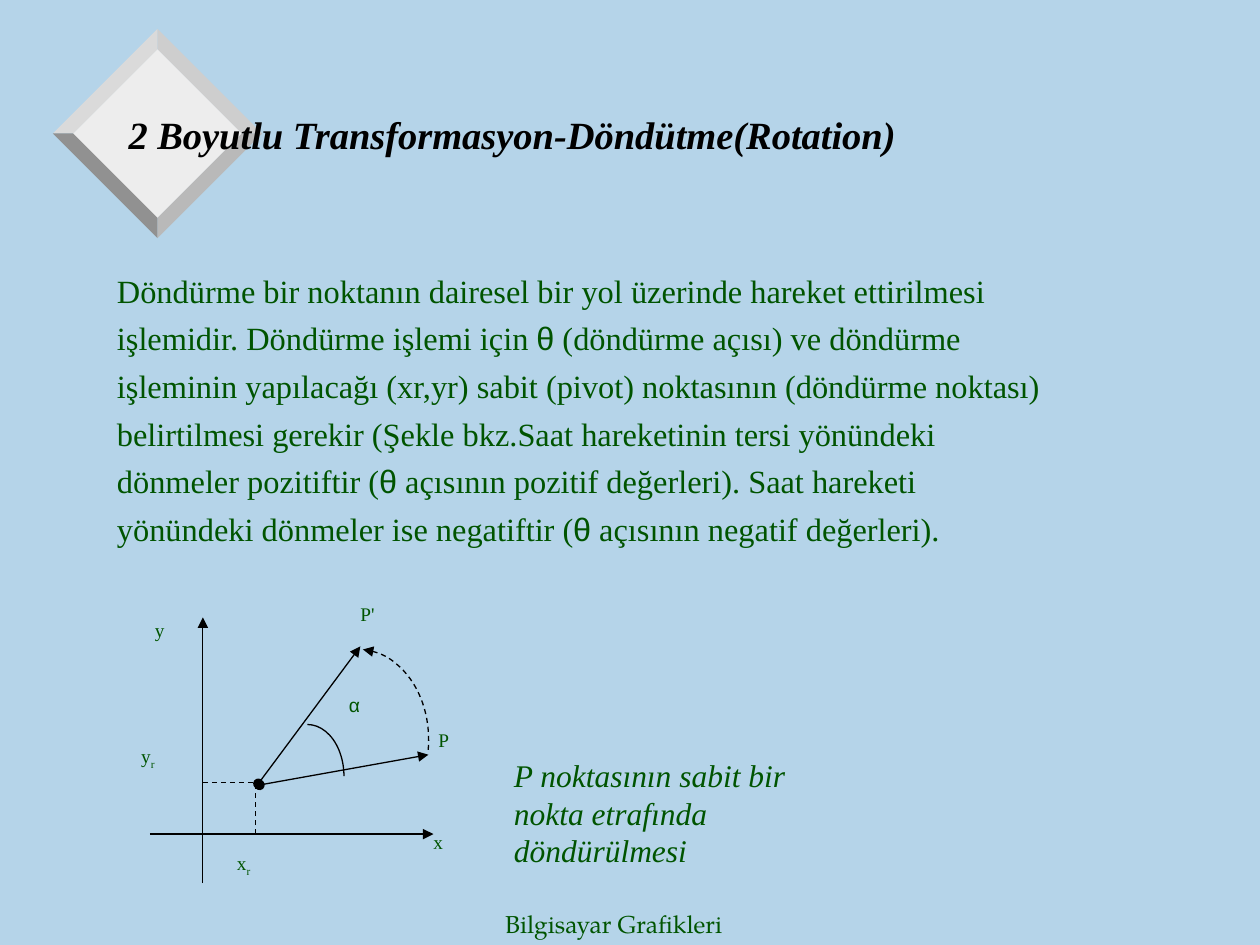
from dataclasses import dataclass

from lxml import etree
from pptx import Presentation
from pptx.dml.color import RGBColor
from pptx.enum.dml import MSO_LINE
from pptx.enum.shapes import MSO_CONNECTOR, MSO_SHAPE
from pptx.enum.text import MSO_ANCHOR, MSO_AUTO_SIZE, PP_ALIGN
from pptx.oxml.ns import qn
from pptx.util import Pt

PX = 9144  # one hundredth of an inch
DASH = MSO_LINE.DASH
STRAIGHT = MSO_CONNECTOR.STRAIGHT
ARC = MSO_SHAPE.ARC
MIDDLE = MSO_ANCHOR.MIDDLE
LEFT = PP_ALIGN.LEFT
NO_FIT = MSO_AUTO_SIZE.NONE
TITLE_ONLY = 5


@dataclass(frozen=True)
class Theme:
    background: str = "B5D4E9"
    text: str = "005400"
    ink: str = "000000"
    serif: str = "Times New Roman"
    greek: str = "Arial"
    footer_font: str = "TeX Gyre Pagella"
    title_size: float = 22
    body_size: float = 18.5
    caption_size: float = 18
    footer_size: float = 14
    label_size: float = 11
    line_width: float = 0.75


THEME = Theme()


@dataclass(frozen=True)
class Box:
    left: int
    top: int
    width: int
    height: int

    def emu(self) -> list[int]:
        return [side * PX for side in (self.left, self.top, self.width, self.height)]


@dataclass(frozen=True)
class Style:
    size: float
    font: str = THEME.serif
    color: str = THEME.text
    bold: bool = False
    italic: bool = False


@dataclass(frozen=True)
class Label:
    box: Box
    text: str
    subscript: str = ""
    font: str = THEME.serif


@dataclass(frozen=True)
class Line:
    start: tuple[int, int]
    end: tuple[int, int]
    head: str = ""
    tail: str = ""
    dashed: bool = False


@dataclass(frozen=True)
class Arc:
    box: Box
    rotation: float = 0
    head: str = ""
    dashed: bool = False


TITLE = "2 Boyutlu Transformasyon-Döndütme(Rotation)"
BODY = [
    "Döndürme bir noktanın dairesel bir yol üzerinde hareket ettirilmesi",
    "işlemidir. Döndürme işlemi için θ (döndürme açısı) ve döndürme",
    "işleminin yapılacağı (xr,yr) sabit (pivot) noktasının (döndürme noktası)",
    "belirtilmesi gerekir (Şekle bkz.Saat hareketinin tersi yönündeki",
    "dönmeler pozitiftir (θ açısının pozitif değerleri). Saat hareketi",
    "yönündeki dönmeler ise negatiftir (θ açısının negatif değerleri).",
]
CAPTION = "P noktasının sabit bir nokta etrafında döndürülmesi"
FOOTER = "Bilgisayar Grafikleri"

LABELS = [
    Label(Box(346, 577, 36, 54), "P"),
    Label(Box(284, 477, 42, 54), "P'"),
    Label(Box(342, 658, 71, 54), "x"),
    Label(Box(121, 490, 147, 54), "y"),
    Label(Box(275, 549, 36, 54), "α", font=THEME.greek),
    Label(Box(186, 675, 71, 54), "x", "r"),
    Label(Box(110, 590, 71, 54), "y", "r"),
]
LINES = [
    Line((119, 662), (344, 662), tail="triangle"),
    Line((161, 701), (161, 490), tail="triangle"),
    Line((206, 623), (340, 599), "oval", "triangle"),
    Line((205, 622), (286, 513), "oval", "triangle"),
    Line((203, 662), (203, 621), dashed=True),
    Line((161, 621), (203, 621), dashed=True),
]
ARCS = [
    Arc(Box(215, 575, 58, 82)),
    Arc(Box(219, 515, 121, 152), 6.5, "triangle", True),
]

DIAMOND_CENTER = (125, 106)
OUTER, INNER = 83, 67
DIAMOND_FACE = "EDEDED"
BEVELS = {(1, -1): "CECECE", (-1, -1): "DADADA", (1, 1): "B9B9B9", (-1, 1): "919191"}


def style_paragraph(para, style: Style) -> None:
    para.alignment = LEFT
    font = para.font
    font.name, font.size = style.font, Pt(style.size)
    font.bold, font.italic = style.bold, style.italic
    font.color.rgb = RGBColor.from_string(style.color)


def add_text(page, box: Box, lines: list[str], style: Style, gap: float = 0,
             margins: tuple[int, int] = (10, 5), wrap: bool = True):
    """Add a text box with one paragraph a line, every θ set in the Greek font."""
    shape = page.shapes.add_textbox(*box.emu())
    frame = shape.text_frame
    frame.word_wrap = wrap
    frame.margin_left = frame.margin_right = margins[0] * PX
    frame.margin_top = frame.margin_bottom = margins[1] * PX
    for index, line in enumerate(lines):
        para = frame.add_paragraph() if index else frame.paragraphs[0]
        style_paragraph(para, style)
        if index:
            para.space_before = Pt(gap)
        before, theta, after = line.partition("θ")
        for text in filter(None, (before, theta, after)):
            span = para.add_run()
            span.text = text
            if text == theta:
                span.font.name = THEME.greek
    return frame


def add_label(page, label: Label) -> None:
    frame = add_text(page, label.box, [label.text],
                     Style(THEME.label_size, label.font), margins=(2, 1))
    if label.subscript:
        span = frame.paragraphs[0].add_run()
        span.text = label.subscript
        span.font._element.set("baseline", "-25000")


def style_line(shape, head: str, tail: str, dashed: bool) -> None:
    line = shape.line
    line.color.rgb = RGBColor.from_string(THEME.ink)
    line.width = Pt(THEME.line_width)
    if dashed:
        line.dash_style = DASH
    outline = shape._element.spPr.find(qn("a:ln"))
    for tag, kind in (("a:headEnd", head), ("a:tailEnd", tail)):
        if kind:
            etree.SubElement(outline, qn(tag), type=kind)


def add_line(page, line: Line) -> None:
    ends = [value * PX for value in line.start + line.end]
    connector = page.shapes.add_connector(STRAIGHT, *ends)
    style_line(connector, line.head, line.tail, line.dashed)
    etree.SubElement(connector._element.spPr, qn("a:effectLst"))


def add_arc(page, arc: Arc) -> None:
    shape = page.shapes.add_shape(ARC, *arc.box.emu())
    shape.rotation = arc.rotation
    shape.fill.background()
    style_line(shape, arc.head, "", arc.dashed)
    shape.shadow.inherit = False


def add_facet(page, offsets: list[tuple[int, int]], color: str) -> None:
    """Fill the polygon whose corners are offset from the diamond's centre."""
    center_x, center_y = DIAMOND_CENTER
    points = [(center_x + x, center_y + y) for x, y in offsets]
    builder = page.shapes.build_freeform(*points[0], scale=PX)
    builder.add_line_segments(points[1:], close=True)
    shape = builder.convert_to_shape()
    shape.fill.solid()
    shape.fill.fore_color.rgb = RGBColor.from_string(color)
    shape.line.fill.background()
    shape.shadow.inherit = False


def add_diamond(page) -> None:
    add_facet(page, [(0, -INNER), (-INNER, 0), (0, INNER), (INNER, 0)], DIAMOND_FACE)
    for (x, y), color in BEVELS.items():
        add_facet(page, [(0, y * INNER), (0, y * OUTER), (x * OUTER, 0), (x * INNER, 0)], color)


def set_title(page, box: Box) -> None:
    title = page.shapes.title
    title.left, title.top, title.width, title.height = box.emu()
    frame = title.text_frame
    frame.text = TITLE
    frame.word_wrap, frame.auto_size = True, NO_FIT
    frame.vertical_anchor = MIDDLE
    style_paragraph(frame.paragraphs[0], Style(THEME.title_size, color=THEME.ink, bold=True, italic=True))
    # Keep the title in front of the diamond.
    page.shapes._spTree.append(title._element)


def main() -> None:
    deck = Presentation()
    deck.slide_width, deck.slide_height = 1000 * PX, 750 * PX
    page = deck.slides.add_slide(deck.slide_layouts[TITLE_ONLY])
    page.background.fill.solid()
    page.background.fill.fore_color.rgb = RGBColor.from_string(THEME.background)

    add_diamond(page)
    footer = add_text(page, Box(391, 717, 208, 33), [FOOTER],
                      Style(THEME.footer_size, THEME.footer_font), wrap=False)
    footer.vertical_anchor = MIDDLE
    set_title(page, Box(92, 46, 850, 121))
    add_text(page, Box(83, 210, 811, 252), BODY, Style(THEME.body_size), gap=5)
    for line in LINES:
        add_line(page, line)
    for arc in ARCS:
        add_arc(page, arc)
    for label in LABELS:
        add_label(page, label)
    add_text(page, Box(398, 595, 262, 100), [CAPTION], Style(THEME.caption_size, italic=True))
    deck.save("out.pptx")


if __name__ == "__main__":
    main()
